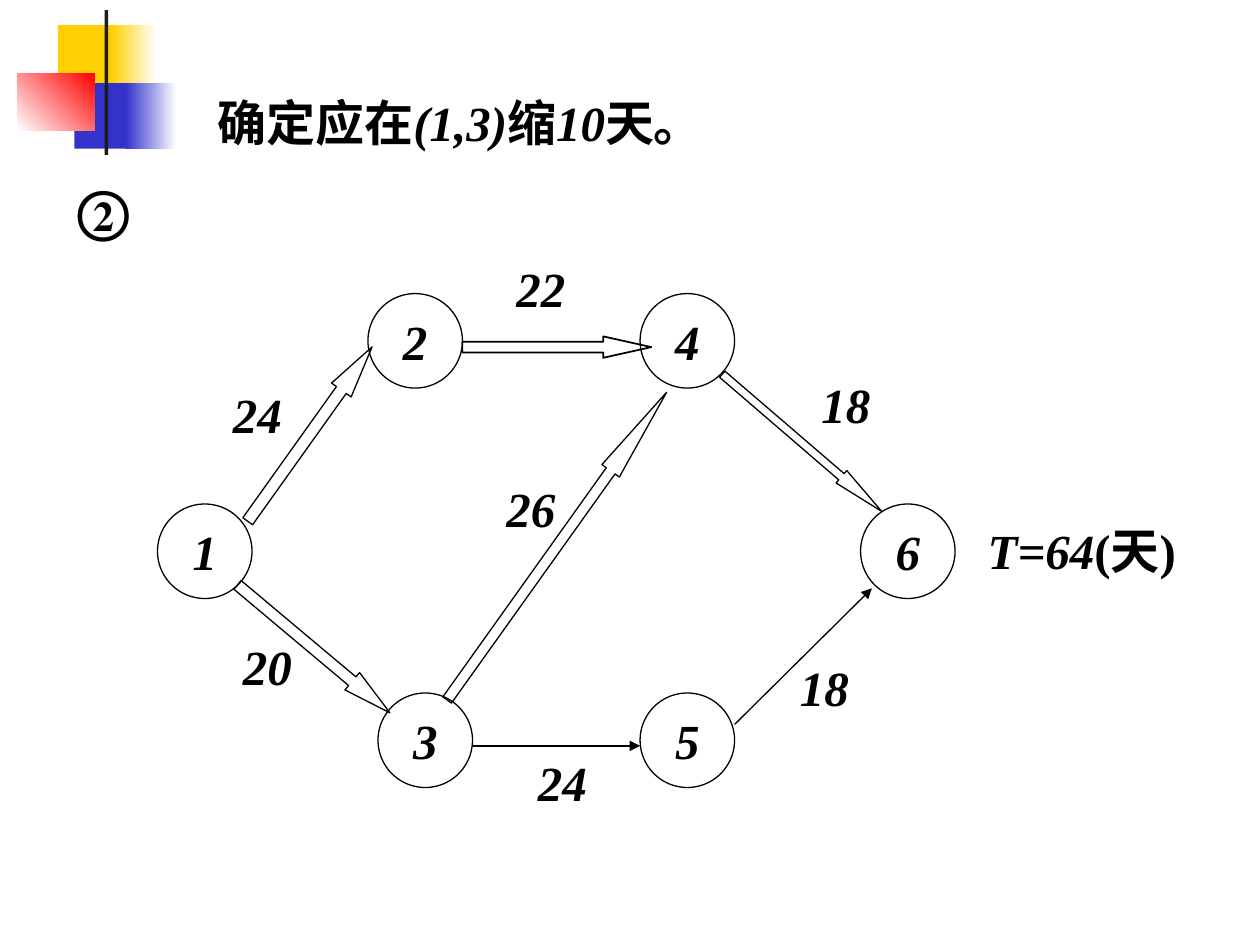
from lxml.etree import SubElement
from pptx import Presentation
from pptx.dml.color import RGBColor
from pptx.enum.shapes import MSO_CONNECTOR, MSO_SHAPE
from pptx.enum.text import MSO_ANCHOR, MSO_AUTO_SIZE, PP_ALIGN
from pptx.oxml.ns import qn
from pptx.util import Inches, Pt


def color(value):
    return RGBColor.from_string(value)


def add_span(para, text, size=28, italic=True, font="Times New Roman", ink="000000"):
    span = para.add_run()
    span.text = text
    span.font.name = font
    span.font.size = Pt(size)
    span.font.bold = True
    span.font.italic = italic
    span.font.color.rgb = color(ink)


class NetworkPage:
    ink = "000000"
    node_size = 0.75

    def __init__(self, page):
        self.page = page

    def shape(self, kind, left, top, width, height):
        shape = self.page.shapes.add_shape(
            kind, Inches(left), Inches(top), Inches(width), Inches(height))
        shape.shadow.inherit = False
        return shape

    def outline(self, shape, weight=0.75):
        shape.fill.background()
        shape.line.color.rgb = color(self.ink)
        shape.line.width = Pt(weight)

    def block(self, left, top, width, height, start, end=None, angle=0):
        block = self.shape(MSO_SHAPE.RECTANGLE, left, top, width, height)
        block.line.fill.background()
        if end is None:
            block.fill.solid()
            block.fill.fore_color.rgb = color(start)
            return
        block.fill.gradient()
        block.fill.gradient_angle = angle
        for stop, value in zip(block.fill.gradient_stops, (start, end)):
            stop.color.rgb = color(value)

    def text(self, left, top, width, height, spans, size=28, spacing=None, wrap=False):
        box = self.page.shapes.add_textbox(
            Inches(left), Inches(top), Inches(width), Inches(height))
        frame = box.text_frame
        frame.word_wrap = wrap
        frame.auto_size = MSO_AUTO_SIZE.SHAPE_TO_FIT_TEXT
        para = frame.paragraphs[0]
        para.line_spacing = spacing
        for words, italic in spans:
            add_span(para, words, size=size, italic=italic)

    def node(self, label, left, top):
        node = self.shape(MSO_SHAPE.OVAL, left, top, self.node_size, self.node_size)
        self.outline(node)
        frame = node.text_frame
        frame.margin_left = frame.margin_right = 0
        frame.margin_top = frame.margin_bottom = 0
        frame.vertical_anchor = MSO_ANCHOR.MIDDLE
        frame.word_wrap = False
        frame.paragraphs[0].alignment = PP_ALIGN.CENTER
        add_span(frame.paragraphs[0], label)

    def duration(self, label, left, top):
        self.text(left, top, 0.59, 0.57, [(label, True)])

    def line_arrow(self, *ends):
        line = self.page.shapes.add_connector(
            MSO_CONNECTOR.STRAIGHT, *[Inches(end) for end in ends])
        line.line.color.rgb = color(self.ink)
        line.line.width = Pt(0.75)
        SubElement(line.line._get_or_add_ln(), qn("a:tailEnd"), type="triangle")
        SubElement(line._element.spPr, qn("a:effectLst"))

    def critical_arrow(self, left, top, width, height, head, angle=0, weight=0.75):
        arrow = self.shape(MSO_SHAPE.RIGHT_ARROW, left, top, width, height)
        arrow.adjustments[0] = 0.5
        arrow.adjustments[1] = head
        arrow.rotation = angle
        self.outline(arrow, weight)


def main():
    deck = Presentation()
    deck.slide_width, deck.slide_height = Inches(10), Inches(7.5)
    network = NetworkPage(deck.slides.add_slide(deck.slide_layouts[6]))

    network.block(0.46, 0.2, 0.48, 0.52, "FFCF01")
    network.block(0.88, 0.2, 0.36, 0.52, "FFCF01", "FFFFFF")
    network.block(0.59, 0.66, 0.46, 0.52, "3333CC")
    network.block(1, 0.66, 0.4, 0.52, "3333CC", "FFFFFF")
    network.block(0.14, 0.58, 0.61, 0.46, "FFFFFF", "FF0000", angle=45)
    network.block(0.83, 0.08, 0.03, 1.15, "1C1C1C")

    title = [("确定应在", False), ("(1,3)", True), ("缩", False),
             ("10", True), ("天。", False)]
    network.text(1.63, 0.45, 6.25, 0.8, title, spacing=1.5, wrap=True)
    network.text(0.52, 1.08, 0.84, 0.9, [("②", False)], size=32, spacing=1.5)
    network.text(7.74, 4.08, 1.88, 0.57, [("T=64", True), ("(天)", False)])

    nodes = [("1", 1.25, 4), ("2", 2.92, 2.33), ("3", 3, 5.5),
             ("4", 5.08, 2.33), ("5", 5.08, 5.5), ("6", 6.83, 4)]
    for node in nodes:
        network.node(*node)

    network.line_arrow(3.75, 5.92, 5.08, 5.92)
    network.line_arrow(5.83, 5.75, 6.92, 4.67)

    durations = [("24", 1.75, 3), ("20", 1.83, 5), ("22", 4, 2), ("26", 3.92, 3.75),
                 ("24", 4.17, 5.92), ("18", 6.42, 2.92), ("18", 6.25, 5.17)]
    for duration in durations:
        network.duration(*duration)

    network.critical_arrow(1.7, 5.06, 1.58, 0.18, 2.17, angle=40)
    network.critical_arrow(2.92, 4.25, 3, 0.17, 4.5, angle=305.5)
    network.critical_arrow(5.53, 3.45, 1.67, 0.13, 3.25, angle=40.7)
    network.critical_arrow(1.61, 3.35, 1.7, 0.19, 2.21, angle=305.5)
    network.critical_arrow(3.67, 2.67, 1.5, 0.17, 2.25, weight=1)

    deck.save("out.pptx")


if __name__ == "__main__":
    main()
